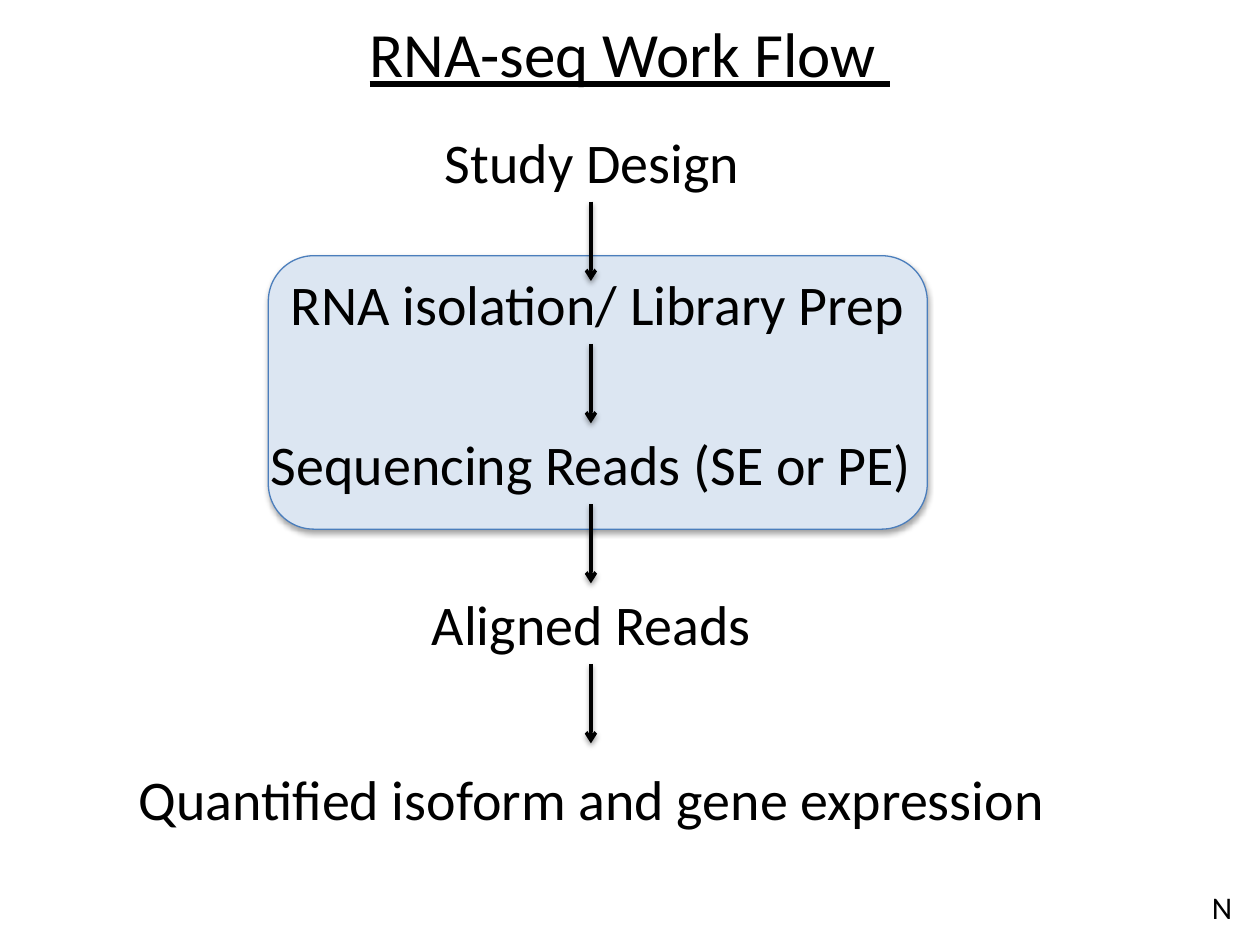
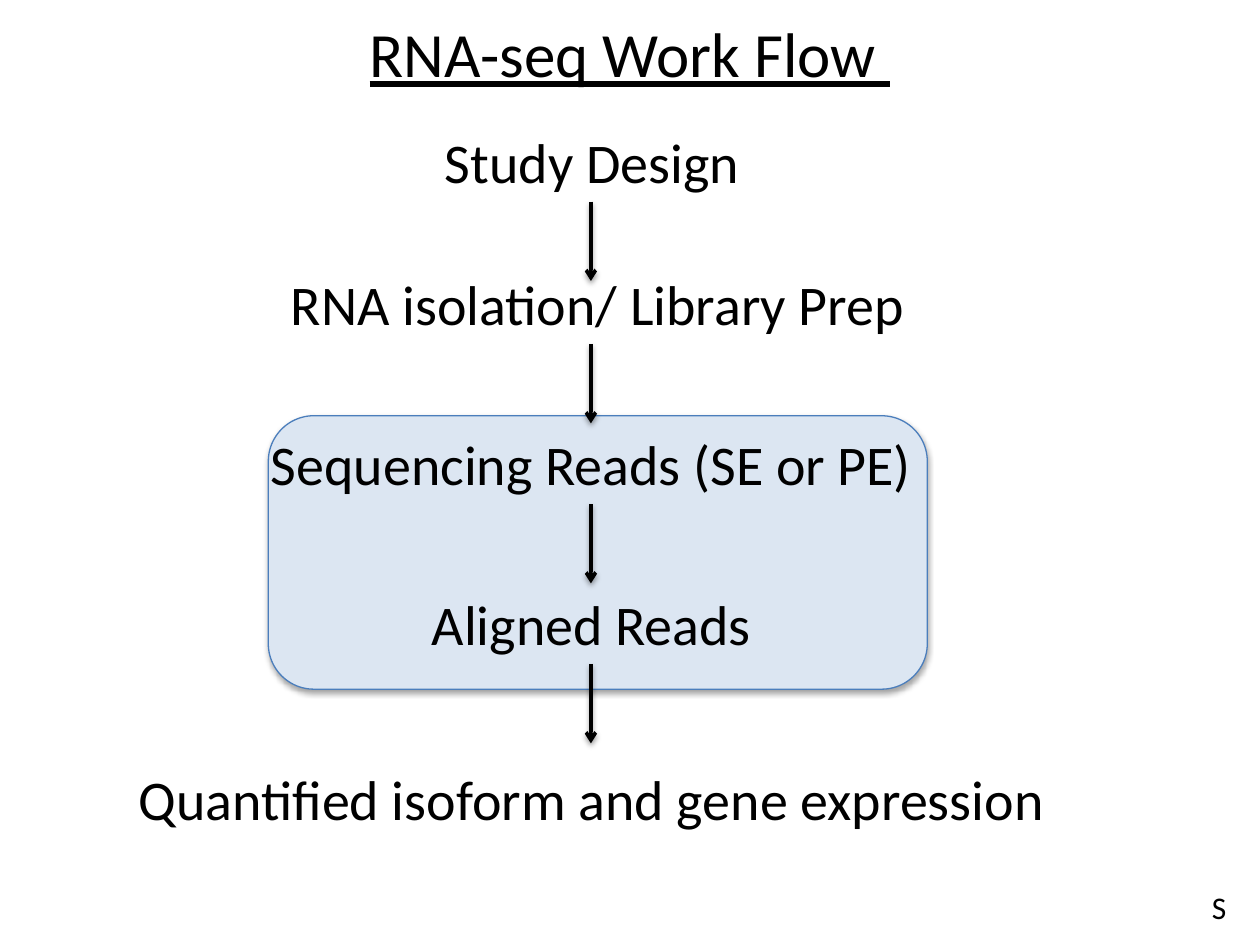
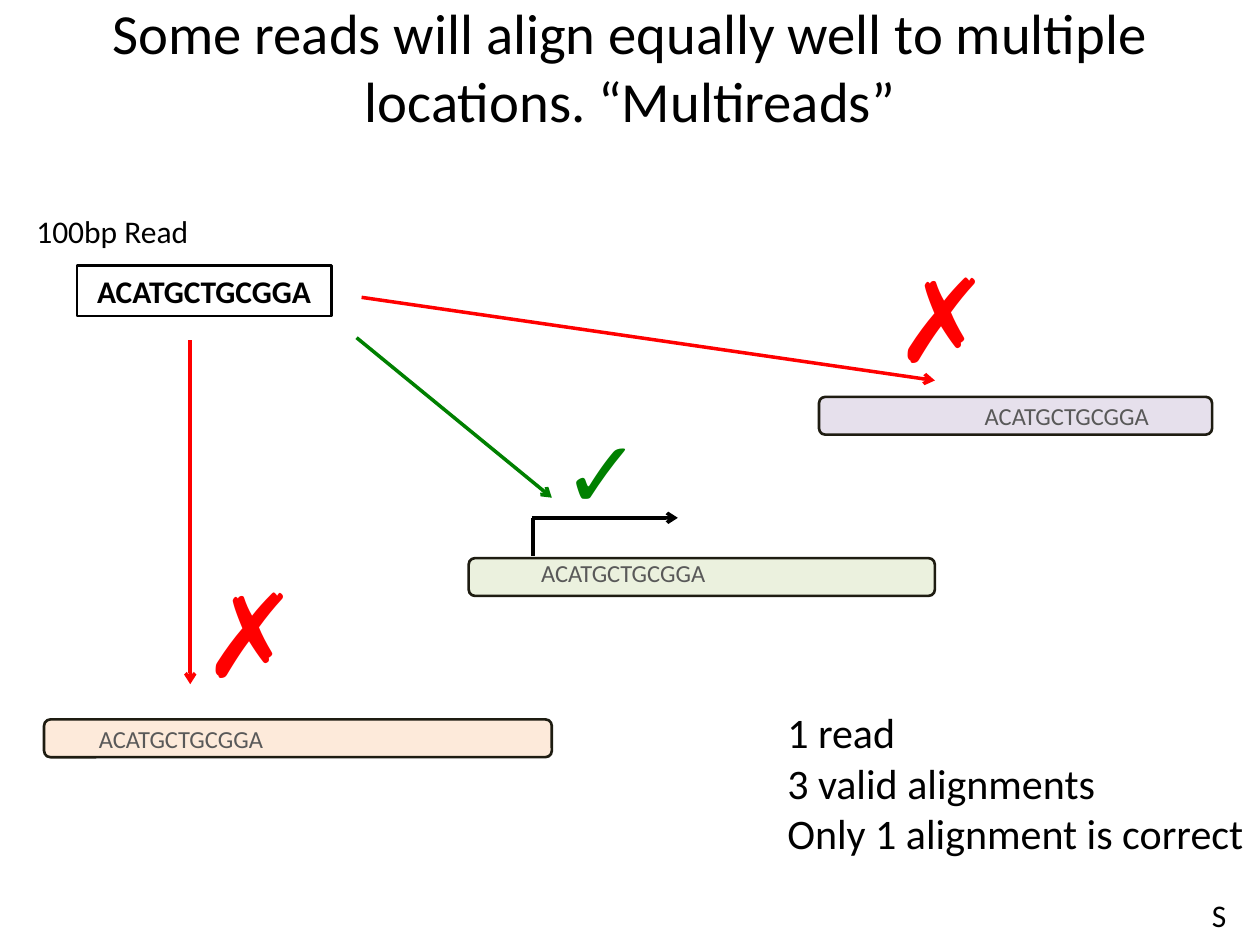
from collections import namedtuple

from lxml import etree
from pptx import Presentation
from pptx import util as u
from pptx.dml.color import RGBColor
from pptx.enum import shapes, text
from pptx.oxml import ns

Box = namedtuple("Box", "left top width height")
Step = namedtuple("Step", "words left top width")
Locus = namedtuple("Locus", "box fill indent anchor")


class Theme:
    font, symbol_font = "Calibri", "Arial"
    black, grey, edge = "000000", "595959", "1E1C11"
    red, green = "FF0000", "008000"
    panel, panel_edge = "DCE6F2", "4B7EBC"
    peach, lime, lilac = "FDEADA", "EBF1DE", "E6E0EC"
    title, long_title, step, summary, label, read = 36, 32.4, 32, 24, 18, 14
    tick, cross = 54, 66
    thin, outline, arrow = 0.75, 1.5, 2


PAGE = Box(0, 0, 10, 7.5)
READ = "ACATGCTGCGGA"
STEP_HEIGHT = 0.64
ARROW_LENGTH = 0.63
STEPS = [
    Step("Study Design", 3.42, 0.96, 2.56),
    Step("RNA isolation/ Library Prep", 2.13, 2.09, 5.23),
    Step("Sequencing Reads (SE or PE)", 2.03, 3.36, 5.33),
    Step("Aligned Reads", 3.31, 4.63, 2.77),
    Step("Quantified isoform and gene expression", 0.95, 6.02, 7.49),
]
LOCI = [
    Locus(Box(0.35, 5.71, 4.03, 0.3), Theme.peach, 0.42, text.MSO_ANCHOR.MIDDLE),
    Locus(Box(3.72, 4.43, 3.7, 0.3), Theme.lime, 0.56, text.MSO_ANCHOR.BOTTOM),
    Locus(Box(6.5, 3.15, 3.12, 0.3), Theme.lilac, 1.3, text.MSO_ANCHOR.MIDDLE),
]


def inches(values):
    return [u.Inches(value) for value in values]


def colour(code):
    return RGBColor.from_string(code)


def write(shape, words, size=Theme.label, color=Theme.black, font=Theme.font,
          bold=False, underline=False, align=text.PP_ALIGN.LEFT,
          anchor=text.MSO_ANCHOR.TOP, wrap=False, indent=0.1):
    """Fill a shape with one paragraph per line of words."""
    frame = shape.text_frame
    frame.word_wrap = wrap
    frame.vertical_anchor = anchor
    frame.margin_left = u.Inches(indent)
    for number, line in enumerate(words.split("\n")):
        para = frame.paragraphs[0] if number == 0 else frame.add_paragraph()
        para.alignment = align
        span = para.add_run()
        span.text = line
        span.font.name = font
        span.font.size = u.Pt(size)
        span.font.bold = bold
        span.font.underline = underline
        span.font.color.rgb = colour(color)


def add_label(page, box, words, **style):
    label = page.shapes.add_textbox(*inches(box))
    write(label, words, **style)
    return label


def add_block(page, box, kind, fill, edge, weight):
    block = page.shapes.add_shape(kind, *inches(box))
    block.shadow.inherit = False
    if fill:
        block.fill.solid()
        block.fill.fore_color.rgb = colour(fill)
    else:
        block.fill.background()
    block.line.color.rgb = colour(edge)
    block.line.width = u.Pt(weight)
    return block


def add_line(page, start, end, color=Theme.black, head=True):
    line = page.shapes.add_connector(
        shapes.MSO_CONNECTOR.STRAIGHT, *inches(start), *inches(end))
    line.line.color.rgb = colour(color)
    line.line.width = u.Pt(Theme.arrow)
    if head:
        etree.SubElement(line.line._get_or_add_ln(), ns.qn("a:tailEnd"), type="arrow")
    etree.SubElement(line._element.spPr, ns.qn("a:effectLst"))
    return line


def add_shadow(shape, distance, percent):
    """Cast a soft shadow straight down."""
    effects = shape._element.spPr.find(ns.qn("a:effectLst"))
    shadow = etree.SubElement(
        effects, ns.qn("a:outerShdw"), blurRad=str(u.Pt(3.1)),
        dist=str(u.Pt(distance)), dir="5400000", rotWithShape="0")
    tint = etree.SubElement(shadow, ns.qn("a:srgbClr"), val=Theme.black)
    etree.SubElement(tint, ns.qn("a:alpha"), val=str(percent * 1000))


def add_page(deck, title, title_box, presenter, presenter_box, **title_style):
    """Start a page with its title and the presenter's initial."""
    page = deck.slides.add_slide(deck.slide_layouts[6])
    add_label(page, title_box, title, align=text.PP_ALIGN.CENTER,
              anchor=text.MSO_ANCHOR.MIDDLE, wrap=True, **title_style)
    add_label(page, presenter_box, presenter)
    return page


def add_workflow(page, box, first_marked):
    """Stack the steps, with a panel behind two neighbours."""
    marked = STEPS[first_marked]
    panel = add_block(
        page, Box(box.left + 2.13, box.top + marked.top - 0.06, 5.23, 2.17),
        shapes.MSO_SHAPE.ROUNDED_RECTANGLE, Theme.panel, Theme.panel_edge, Theme.thin)
    add_shadow(panel, 1.8, 35)
    axis = box.left + 4.69
    for step in STEPS:
        top = box.top + step.top
        add_label(page, Box(box.left + step.left, top, step.width, STEP_HEIGHT),
                  step.words, size=Theme.step, align=text.PP_ALIGN.CENTER)
        if step is not STEPS[-1]:
            bottom = top + STEP_HEIGHT
            arrow = add_line(page, (axis, bottom), (axis, bottom + ARROW_LENGTH))
            add_shadow(arrow, 1.6, 38)


def add_alignments(page, box):
    """Show one read, its three candidate loci and the verdict on each."""
    def place(left, top, width, height):
        return Box(box.left + left, box.top + top, width, height)

    def draw(start, end, **style):
        add_line(page, *[(box.left + x, box.top + y) for x, y in (start, end)], **style)

    # Candidate loci
    for locus in LOCI:
        bar = add_block(page, place(*locus.box), shapes.MSO_SHAPE.ROUNDED_RECTANGLE,
                        locus.fill, Theme.edge, Theme.outline)
        write(bar, READ, size=Theme.read, color=Theme.grey,
              anchor=locus.anchor, indent=locus.indent)

    # The read
    add_label(page, place(0.19, 1.63, 1.42, 0.4), "100bp Read")
    read = add_block(page, place(0.61, 2.11, 2.02, 0.4), shapes.MSO_SHAPE.RECTANGLE,
                     None, Theme.black, Theme.outline)
    write(read, READ, bold=True, align=text.PP_ALIGN.CENTER,
          anchor=text.MSO_ANCHOR.MIDDLE)

    # Arrows from the read to the loci
    draw((2.83, 2.68), (4.38, 3.95), color=Theme.green)
    draw((1.51, 2.7), (1.51, 5.43), color=Theme.red)
    draw((2.87, 2.36), (7.42, 3.02), color=Theme.red)

    # Verdicts
    add_label(page, place(4.37, 3.24, 0.77, 1.01), "✓", size=Theme.tick,
              color=Theme.green, font=Theme.symbol_font)
    for left, top in ((1.51, 4.41), (7, 1.91)):
        add_label(page, place(left, top, 0.73, 1.21), "✗", size=Theme.cross,
                  color=Theme.red, font=Theme.symbol_font)

    # Transcription start
    draw((4.23, 4.41), (4.23, 4.11), head=False)
    draw((4.22, 4.11), (5.38, 4.11))

    # Summary
    add_label(page, place(6.15, 5.56, 3.87, 1.31),
              "1 read\n3 valid alignments\nOnly 1 alignment is correct",
              size=Theme.summary)


def main():
    deck = Presentation()
    deck.slide_width, deck.slide_height = inches((PAGE.width, PAGE.height))

    for first_marked, presenter, width in ((1, "N", 0.36), (2, "S", 0.32)):
        page = add_page(deck, "RNA-seq Work Flow ", Box(0, 0.11, 10, 0.61),
                        presenter, Box(9.52, 7, width, 0.4),
                        size=Theme.title, underline=True)
        add_workflow(page, PAGE, first_marked)

    page = add_page(
        deck, "Some reads will align equally well to multiple locations. “Multireads”",
        Box(0.5, 0.07, 9, 0.9), "S", Box(9.52, 7.06, 0.32, 0.4), size=Theme.long_title)
    add_alignments(page, PAGE)

    deck.save("out.pptx")


if __name__ == "__main__":
    main()
